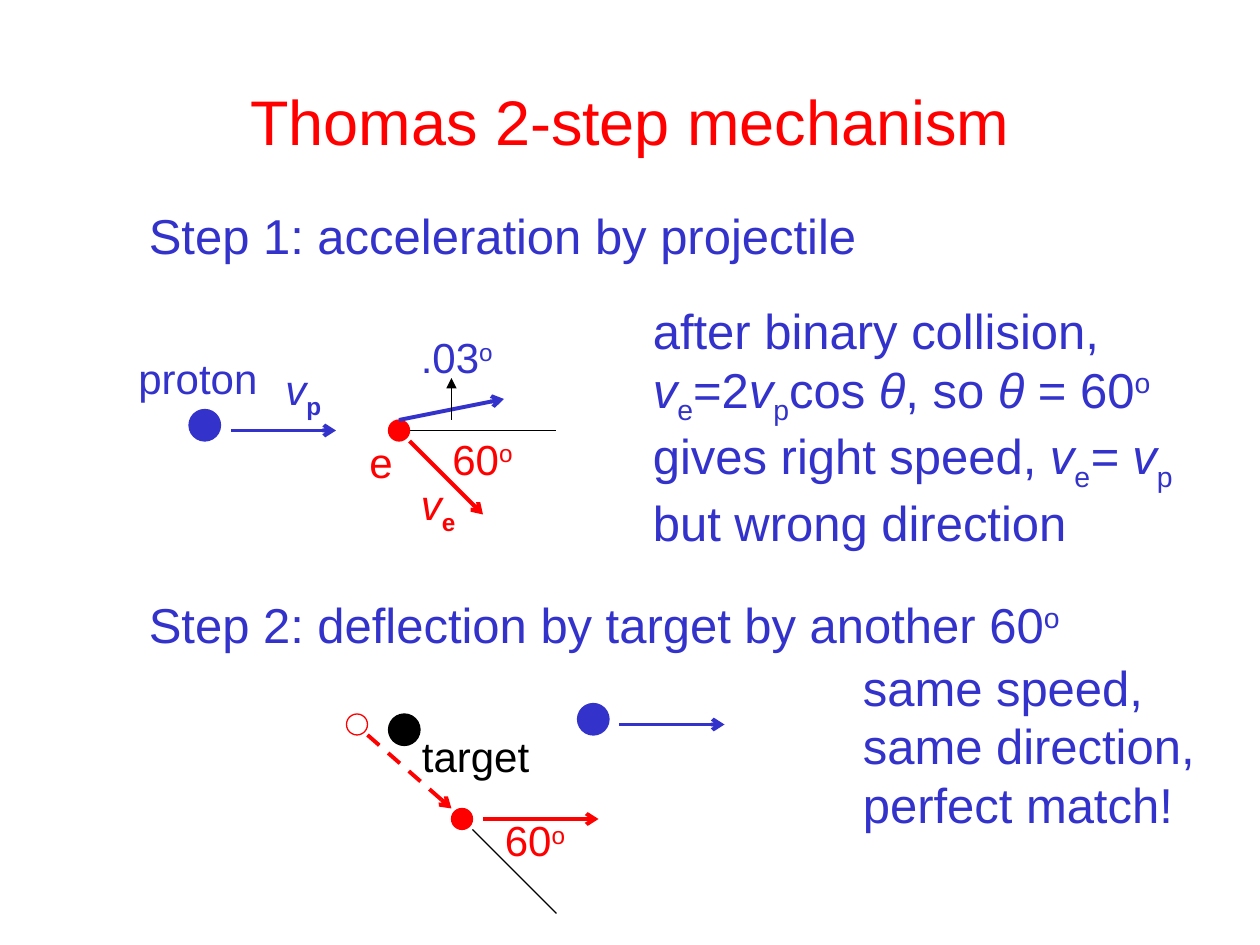
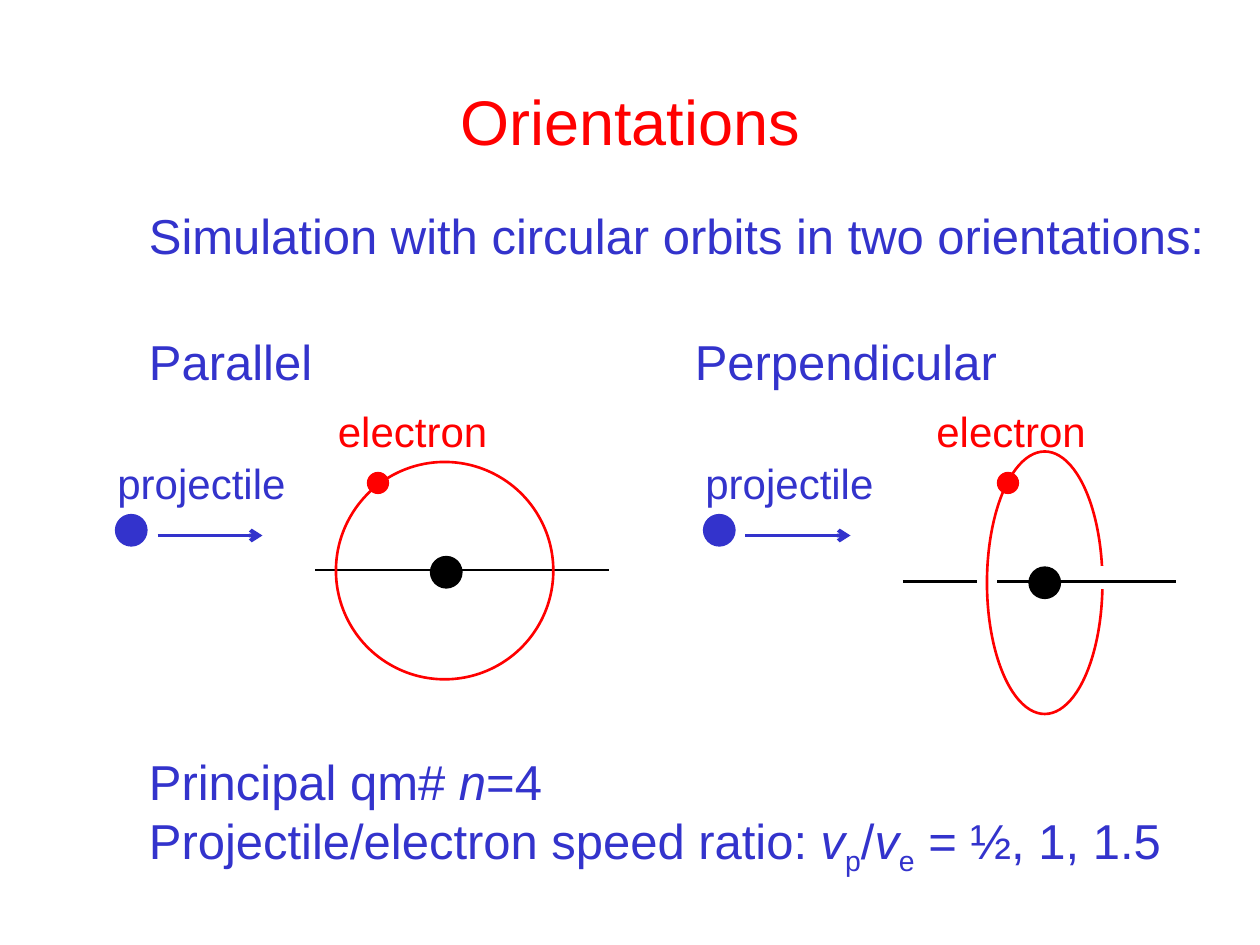
from lxml import etree
from pptx import Presentation, util as u
from pptx.dml.color import RGBColor
from pptx.enum import dml, shapes, text
from pptx.oxml import ns

PX = 7620  # 120 px to the inch
RED, BLUE, BLACK, WHITE = "FF0000", "3333CC", "000000", "FFFFFF"
OVAL = shapes.MSO_SHAPE.OVAL
SMALL, LARGE = 20, 30  # diameters of electrons and of heavy particles
TITLE, BODY, TAG = 36, 28, 24  # text sizes

TITLE_BOX = (90, 40, 1020, 150)
# The first character of a run may mark its style
RUN_STYLES = {
    "~": {"i": "1"},
    "_": {"baseline": "-25000"},
    "*": {"baseline": "-25000", "b": "1"},
    "^": {"baseline": "30000"},
}


def draw_shape(slide, kind, left, top, width, height, edge, fill=None, weight=0.75):
    shape = slide.shapes.add_shape(kind, left * PX, top * PX, width * PX, height * PX)
    shape.shadow.inherit = False
    if fill:
        shape.fill.solid()
        shape.fill.fore_color.rgb = RGBColor.from_string(fill)
    else:
        shape.fill.background()
    shape.line.color.rgb = RGBColor.from_string(edge)
    shape.line.width = u.Pt(weight)


def draw_line(slide, x1, y1, x2, y2, colour, weight=2.25, head=None, dashed=False):
    connector = slide.shapes.add_connector(
        shapes.MSO_CONNECTOR.STRAIGHT, x1 * PX, y1 * PX, x2 * PX, y2 * PX)
    connector.line.color.rgb = RGBColor.from_string(colour)
    connector.line.width = u.Pt(weight)
    if dashed:
        connector.line.dash_style = dml.MSO_LINE.DASH
    properties = connector._element.spPr
    if head:
        etree.SubElement(properties.find(ns.qn("a:ln")), ns.qn("a:tailEnd"), type=head)
    etree.SubElement(properties, ns.qn("a:effectLst"))


deck = Presentation()
deck.slide_width, deck.slide_height = 1200 * PX, 900 * PX
mechanism, orientations = [deck.slides.add_slide(deck.slide_layouts[6]) for _ in range(2)]

# Thomas mechanism: particles of both steps
for left, top, size, edge, fill in [
    (370, 400, SMALL, RED, RED),
    (180, 390, LARGE, BLUE, BLUE),
    (370, 680, LARGE, BLACK, BLACK),
    (330, 680, SMALL, RED, WHITE),
    (430, 770, SMALL, RED, RED),
    (550, 670, LARGE, BLUE, BLUE),
]:
    draw_shape(mechanism, OVAL, left, top, size, size, edge, fill)

# Thomas mechanism: velocities and reference directions
for velocity in [
    (220, 410, 320, 410, BLUE),
    (390, 420, 460, 490, RED),
    (380, 400, 480, 380, BLUE),
    (460, 780, 570, 780, RED),
    (590, 690, 690, 690, BLUE),
]:
    draw_line(mechanism, *velocity, head="arrow")
draw_line(mechanism, 350, 700, 430, 770, RED, head="arrow", dashed=True)
draw_line(mechanism, 390, 410, 530, 410, BLACK, 0.75)
draw_line(mechanism, 450, 790, 530, 870, BLACK, 0.75)
draw_line(mechanism, 430, 400, 430, 360, BLACK, 0.75, head="triangle")

# Orientations: the axis of the parallel orbit lies behind it
draw_line(orientations, 300, 543, 580, 543, BLACK, 1.5)
for projectile_left, nucleus, orbit, electron_left in [
    (110, (410, 530), (320, 440, 207, 207), 350),
    (670, (980, 540), (940, 430, 110, 250), 950),
]:
    draw_shape(orientations, OVAL, *nucleus, LARGE, LARGE, BLACK, BLACK)
    draw_shape(orientations, OVAL, *orbit, RED, weight=1.5)
    draw_shape(orientations, OVAL, electron_left, 450, SMALL, SMALL, RED, RED)
    draw_shape(orientations, OVAL, projectile_left, 490, LARGE, LARGE, BLUE, BLUE)
    draw_line(orientations, projectile_left + 40, 510, projectile_left + 140, 510,
              BLUE, head="arrow")

# The perpendicular orbit passes behind its axis on the right
draw_shape(orientations, shapes.MSO_SHAPE.RECTANGLE, 1040, 540, 20, 20, WHITE, WHITE)
for start, end in [(860, 930), (950, 1120)]:
    draw_line(orientations, start, 554, end, 554, BLACK, 1.5)

# Runs are divided by "|", paragraphs by a line break
wording = [
    (mechanism, TITLE_BOX, TITLE, RED, "Thomas 2-step mechanism"),
    (mechanism, (130, 190, 790, 68), BODY, BLUE, "Step 1: acceleration by projectile"),
    (mechanism, (610, 280, 550, 252), BODY, BLUE,
     "after binary collision, |~v|_e|=2|~v|_p|cos |~θ|, so |~θ| = 60|^o"
     "| gives right speed, |~v|_e|~= v|_p| but wrong direction"),
    (mechanism, (120, 330, 138, 60), TAG, BLUE, "proton"),
    (mechanism, (260, 340, 62, 67), TAG, BLUE, "~v|*p"),
    (mechanism, (389, 310, 98, 60), TAG, BLUE, ".03|^o"),
    (mechanism, (340, 410, 46, 60), TAG, RED, "e"),
    (mechanism, (419, 407, 86, 60), TAG, RED, "60|^o"),
    (mechanism, (389, 450, 62, 67), TAG, RED, "~v|*e"),
    (mechanism, (130, 560, 900, 68), BODY, BLUE,
     "Step 2: deflection by target by another 60|^o"),
    (mechanism, (390, 690, 126, 60), TAG, BLACK, "target"),
    (mechanism, (469, 770, 86, 60), TAG, RED, "60|^o"),
    (mechanism, (810, 620, 370, 180), BODY, BLUE,
     "same speed, same direction, perfect match!"),
    (orientations, TITLE_BOX, TITLE, RED, "Orientations"),
    (orientations, (130, 190, 1050, 68), BODY, BLUE,
     "Simulation with circular orbits in two orientations:"),
    (orientations, (130, 310, 460, 68), BODY, BLUE, "Parallel"),
    (orientations, (650, 310, 350, 68), BODY, BLUE, "Perpendicular"),
    (orientations, (100, 430, 184, 60), TAG, BLUE, "projectile"),
    (orientations, (660, 430, 184, 60), TAG, BLUE, "projectile"),
    (orientations, (310, 380, 166, 60), TAG, RED, "electron"),
    (orientations, (880, 380, 166, 60), TAG, RED, "electron"),
    (orientations, (130, 710, 1000, 132), BODY, BLUE,
     "Principal qm# |~n|=4\n"
     "Projectile/electron speed ratio: |~v|_p|/|~v|_e| = ½, 1, 1.5"),
]
for slide, box, size, colour, content in wording:
    frame = slide.shapes.add_textbox(*[length * PX for length in box]).text_frame
    frame.word_wrap = size != TAG
    if size == TITLE:
        frame.vertical_anchor = text.MSO_ANCHOR.MIDDLE
    else:
        frame.auto_size = text.MSO_AUTO_SIZE.SHAPE_TO_FIT_TEXT
    for number, line in enumerate(content.split("\n")):
        paragraph = frame.add_paragraph() if number else frame.paragraphs[0]
        paragraph.alignment = text.PP_ALIGN.CENTER if size == TITLE else text.PP_ALIGN.LEFT
        for piece in line.split("|"):
            run = paragraph.add_run()
            run.text = piece[1:] if piece[0] in RUN_STYLES else piece
            run.font.name = "Arial"
            run.font.size = u.Pt(size)
            run.font.color.rgb = RGBColor.from_string(colour)
            for attribute, value in RUN_STYLES.get(piece[0], {}).items():
                run._r.get_or_add_rPr().set(attribute, value)

deck.save("out.pptx")
